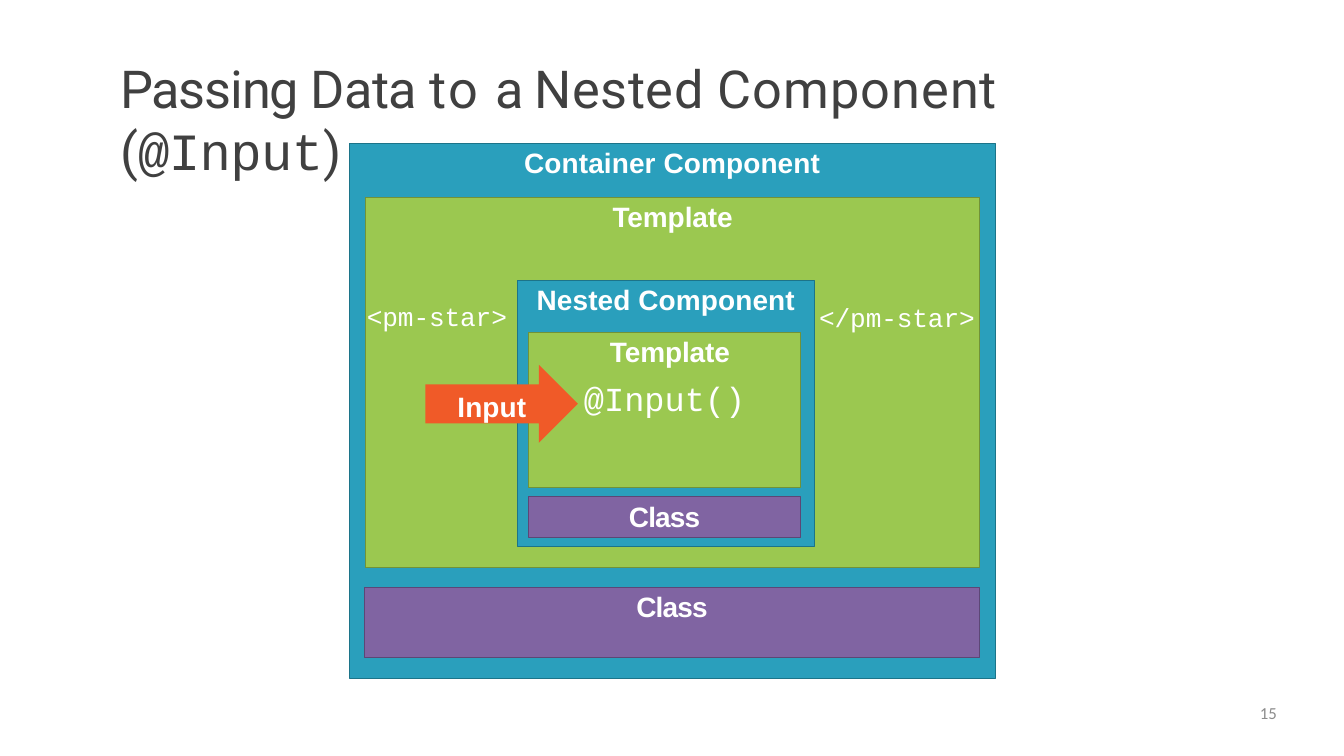
from pptx import Presentation
from pptx.dml.color import RGBColor
from pptx.enum.shapes import MSO_SHAPE
from pptx.enum.text import MSO_ANCHOR, PP_ALIGN
from pptx.util import Inches, Pt

RECT, ARROW = MSO_SHAPE.RECTANGLE, MSO_SHAPE.RIGHT_ARROW
TOP, MIDDLE = MSO_ANCHOR.TOP, MSO_ANCHOR.MIDDLE
LEFT, CENTER, RIGHT = PP_ALIGN.LEFT, PP_ALIGN.CENTER, PP_ALIGN.RIGHT
COLORS = {
    "blue": "2A9FBC", "blue_line": "1C7489",
    "green": "9BC850", "green_line": "719238",
    "purple": "8064A2", "purple_line": "5C4776",
    "orange": "F05A28", "white": "FFFFFF",
    "title": "404040", "number": "8C8C8C",
}
LABEL = {"name": "Arial", "size": Pt(30), "bold": True}
TAG = {"name": "Courier New", "size": Pt(28), "bold": False}
INPUT = {"name": "Courier New", "size": Pt(36), "bold": False}
TITLE = {"name": "Roboto", "size": Pt(56), "bold": False}
TITLE_CODE = {**TITLE, "name": "Courier New"}
NUMBER = {"name": "Calibri", "size": Pt(18), "bold": False}


def set_frame(sp, inset=0, anchor=TOP):
    tf = sp.text_frame
    settings = {"margin_left": 0, "margin_right": 0, "margin_bottom": 0,
                "margin_top": Inches(inset), "word_wrap": True,
                "vertical_anchor": anchor}
    for name, value in settings.items():
        setattr(tf, name, value)
    return tf


def add_run(p, text, font, color="white", spacing=0):
    r = p.add_run()
    r.text = text
    for name, value in font.items():
        setattr(r.font, name, value)
    r.font.color.rgb = RGBColor.from_string(COLORS[color])
    if spacing:
        r._r.get_or_add_rPr().set("spc", str(round(spacing * 100)))


prs = Presentation()
prs.slide_width, prs.slide_height = Inches(20), Inches(11.25)
s = prs.slides.add_slide(prs.slide_layouts[6])

sp = s.shapes.add_textbox(Inches(1.79), Inches(0.82), Inches(16.43), Inches(0.96))
p = set_frame(sp, 0.01).paragraphs[0]
p.space_before = Pt(1)
for text, font, spacing in [
    ("Passing ", TITLE, -1.3), ("Data ", TITLE, -0.7), ("to ", TITLE, 2.2),
    ("a ", TITLE, -1.7), ("Nested ", TITLE, 0.5), ("Component ", TITLE, 1.1),
    ("(", TITLE, -0.7), ("@Input", TITLE_CODE, -0.7), (")", TITLE, -0.7),
]:
    add_run(p, text, font, "title", spacing)

for label, shape, color, x, y, w, h, inset, spacing in [
    ("Container Component", RECT, "blue", 5.2, 2.13, 9.61, 7.96, 0.04, 0.15),
    ("Class", RECT, "purple", 5.42, 8.74, 9.16, 1.05, 0.03, -0.9),
    ("Template", RECT, "green", 5.44, 2.94, 9.14, 5.5, 0.03, -0.1),
    ("Nested Component", RECT, "blue", 7.7, 4.17, 4.42, 3.96, 0.04, 0.15),
    ("Class", RECT, "purple", 7.87, 7.39, 4.04, 0.61, 0.05, -0.9),
    ("Template", RECT, "green", 7.87, 4.95, 4.04, 2.31, 0.03, -0.1),
    ("Input", ARROW, "orange", 6.33, 5.43, 2.27, 1.16, 0.08, 0.1),
]:
    sp = s.shapes.add_shape(shape, Inches(x), Inches(y), Inches(w), Inches(h))
    sp.shadow.inherit = False
    sp.fill.solid()
    sp.fill.fore_color.rgb = RGBColor.from_string(COLORS[color])
    if shape == ARROW:
        sp.line.fill.background()
    else:
        sp.line.color.rgb = RGBColor.from_string(COLORS[color + "_line"])
        sp.line.width = Pt(1)
    tf = set_frame(sp, inset, MIDDLE if shape == ARROW else TOP)
    p = tf.paragraphs[0]
    p.alignment = CENTER
    add_run(p, label, LABEL, spacing=spacing)
    if x == 7.87 and label == "Template":
        p._p.get_or_add_pPr().set("marL", str(Inches(0.16)))
        p = tf.add_paragraph()
        p.alignment = CENTER
        p.space_before = Pt(10.5)
        add_run(p, "@Input()", INPUT)

for text, font, color, align, x, y, w, h, inset, spacing in [
    ("<pm-star>", TAG, "white", LEFT, 5.46, 4.46, 2.2, 0.49, 0.01, -0.1),
    ("</pm-star>", TAG, "white", LEFT, 12.19, 4.47, 2.34, 0.49, 0.01, -0.1),
    ("15", NUMBER, "number", RIGHT, 14.4, 10.46, 4.6, 0.56, 0, 0),
]:
    sp = s.shapes.add_textbox(Inches(x), Inches(y), Inches(w), Inches(h))
    p = set_frame(sp, inset).paragraphs[0]
    p.alignment = align
    add_run(p, text, font, color, spacing)

prs.save("out.pptx")
